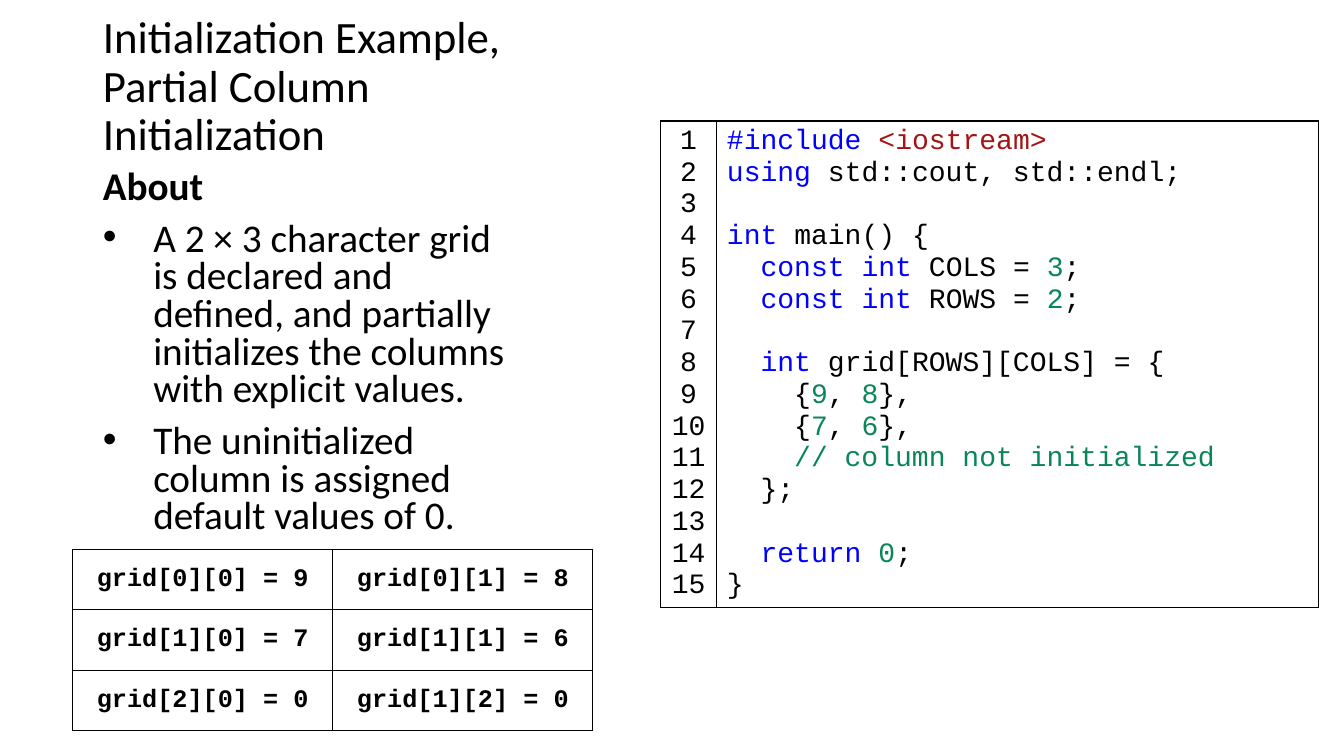
from typing import NamedTuple

from lxml.etree import SubElement
from pptx import Presentation
from pptx.dml.color import RGBColor
from pptx.enum.text import MSO_ANCHOR as ANCHOR, MSO_AUTO_SIZE as AUTO, PP_ALIGN as ALIGN
from pptx.oxml.ns import qn
from pptx.util import Inches, Pt

BLACK, WHITE = "000000", "FFFFFF"
BLUE, GREEN, RED = "0000FF", "098658", "A31515"
MONO = "Courier New"
CODE_LINE = 22.7  # height of one code line in points


class Run(NamedTuple):
    text: str
    color: str = BLACK


class Line(NamedTuple):
    runs: list[Run]
    gap: float = 0


class Grid(NamedTuple):
    left: float
    top: float
    cols: list[float]
    rows: list[float]


def rgb(value: str) -> RGBColor:
    return RGBColor.from_string(value)


def kw(text: str) -> Run:
    return Run(text, BLUE)


def num(text: str) -> Run:
    return Run(text, GREEN)


def add_run(p, run: Run, name: str, size: float, bold: bool = False) -> None:
    r = p.add_run()
    r.text = run.text
    for key, value in {"name": name, "size": Pt(size), "bold": bold}.items():
        setattr(r.font, key, value)
    r.font.color.rgb = rgb(run.color)


def format_paragraph(p, **values) -> None:
    for key, value in values.items():
        setattr(p, key, value)


def next_paragraph(tf, index: int):
    return tf.add_paragraph() if index else tf.paragraphs[0]


def place(sp, left: float, top: float, width: float, height: float, anchor):
    box = {"left": left, "top": top, "width": width, "height": height}
    for key, value in box.items():
        setattr(sp, key, Inches(value))
    tf = sp.text_frame
    for key, value in {"word_wrap": True, "auto_size": AUTO.NONE,
                       "vertical_anchor": anchor}.items():
        setattr(tf, key, value)
    return tf


def set_bullet(p, char: str = "") -> None:
    pPr = p._p.get_or_add_pPr()
    indent = Inches(0.5) if char else 0
    pPr.set("marL", str(indent))
    pPr.set("indent", str(-indent))
    if char:
        SubElement(pPr, qn("a:buFont"), typeface="Arial")
        SubElement(pPr, qn("a:buChar"), char=char)
    else:
        SubElement(pPr, qn("a:buNone"))


def add_grid(s, grid: Grid):
    table = s.shapes.add_table(
        len(grid.rows), len(grid.cols), Inches(grid.left), Inches(grid.top),
        Inches(sum(grid.cols)), Inches(sum(grid.rows))).table
    table.first_row = table.horz_banding = False
    for col, width in zip(table.columns, grid.cols):
        col.width = Inches(width)
    for row, height in zip(table.rows, grid.rows):
        row.height = Inches(height)
    for cell in table.iter_cells():
        tcPr = cell._tc.get_or_add_tcPr()
        for side in ("lnL", "lnR", "lnT", "lnB"):
            border = SubElement(tcPr, qn(f"a:{side}"), w=str(Pt(1)))
            fill = SubElement(border, qn("a:solidFill"))
            SubElement(fill, qn("a:srgbClr"), val=BLACK)
        cell.fill.solid()
        cell.fill.fore_color.rgb = rgb(WHITE)
    return table


def fill_cell(cell, lines: list[Line], size: float, bold: bool = False,
              align=ALIGN.LEFT, anchor=ANCHOR.TOP) -> None:
    cell.vertical_anchor = anchor
    for i, line in enumerate(lines):
        p = next_paragraph(cell.text_frame, i)
        format_paragraph(p, alignment=align, space_before=Pt(line.gap))
        for run in line.runs:
            add_run(p, run, MONO, size, bold)


prs = Presentation()
prs.slide_width, prs.slide_height = Inches(13.33), Inches(7.5)
s = prs.slides.add_slide(prs.slide_layouts[1])
title, body = s.placeholders

# Title
tf = place(title, 0.92, 0, 4.3, 1.64, ANCHOR.BOTTOM)
p = tf.paragraphs[0]
format_paragraph(p, alignment=ALIGN.LEFT, line_spacing=0.9)
add_run(p, Run("Initialization Example, Partial Column Initialization"), "Calibri", 32)

# Explanation
about = [
    ("About", ""),
    ("A 2 × 3 character grid is declared and defined, and partially "
     "initializes the columns with explicit values.", "•"),
    ("The uninitialized column is assigned default values of 0.", "•"),
]
tf = place(body, 0.92, 1.64, 4.3, 3.83, ANCHOR.TOP)
for i, (text, bullet) in enumerate(about):
    p = next_paragraph(tf, i)
    format_paragraph(p, line_spacing=0.8, space_before=Pt(10))
    set_bullet(p, bullet)
    add_run(p, Run(text), "Calibri", 28, bold=not bullet)

# Resulting values
values = [
    ["grid[0][0] = 9", "grid[0][1] = 8"],
    ["grid[1][0] = 7", "grid[1][1] = 6"],
    ["grid[2][0] = 0", "grid[1][2] = 0"],
]
table = add_grid(s, Grid(0.72, 5.45, [2.58] * 2, [0.6] * 3))
for row, texts in enumerate(values):
    for col, text in enumerate(texts):
        fill_cell(table.cell(row, col), [Line([Run(text)])], 18, True,
                  ALIGN.CENTER, ANCHOR.MIDDLE)

# Code listing with line numbers
TAB = "\u00a0" * 2


def constant(name: str, value: str) -> Line:
    return Line([Run(TAB), kw("const int"), Run(f" {name} = "), num(value), Run(";")])


def grid_row(first: str, second: str) -> Line:
    return Line([Run(TAB * 2 + "{"), num(first), Run(", "), num(second), Run("},")])


code = [
    Line([kw("#include "), Run("<iostream>", RED)]),
    Line([kw("using"), Run(" std::cout, std::endl;")]),
    Line([kw("int"), Run(" main() {")], CODE_LINE),
    constant("COLS", "3"),
    constant("ROWS", "2"),
    Line([Run(TAB), kw("int"), Run(" grid[ROWS][COLS] = {")], CODE_LINE),
    grid_row("9", "8"),
    grid_row("7", "6"),
    Line([Run(TAB * 2 + "// column not initialized", GREEN)]),
    Line([Run(TAB + "};")]),
    Line([Run(TAB), kw("return "), num("0"), Run(";")], CODE_LINE),
    Line([Run("}")]),
]
numbers = [Line([Run(str(n))]) for n in range(1, 16)]
listing = add_grid(s, Grid(6.55, 1.2, [0.56, 5.97], [4.82]))
fill_cell(listing.cell(0, 0), numbers, 20, align=ALIGN.CENTER)
fill_cell(listing.cell(0, 1), code, 20)

prs.save("out.pptx")
